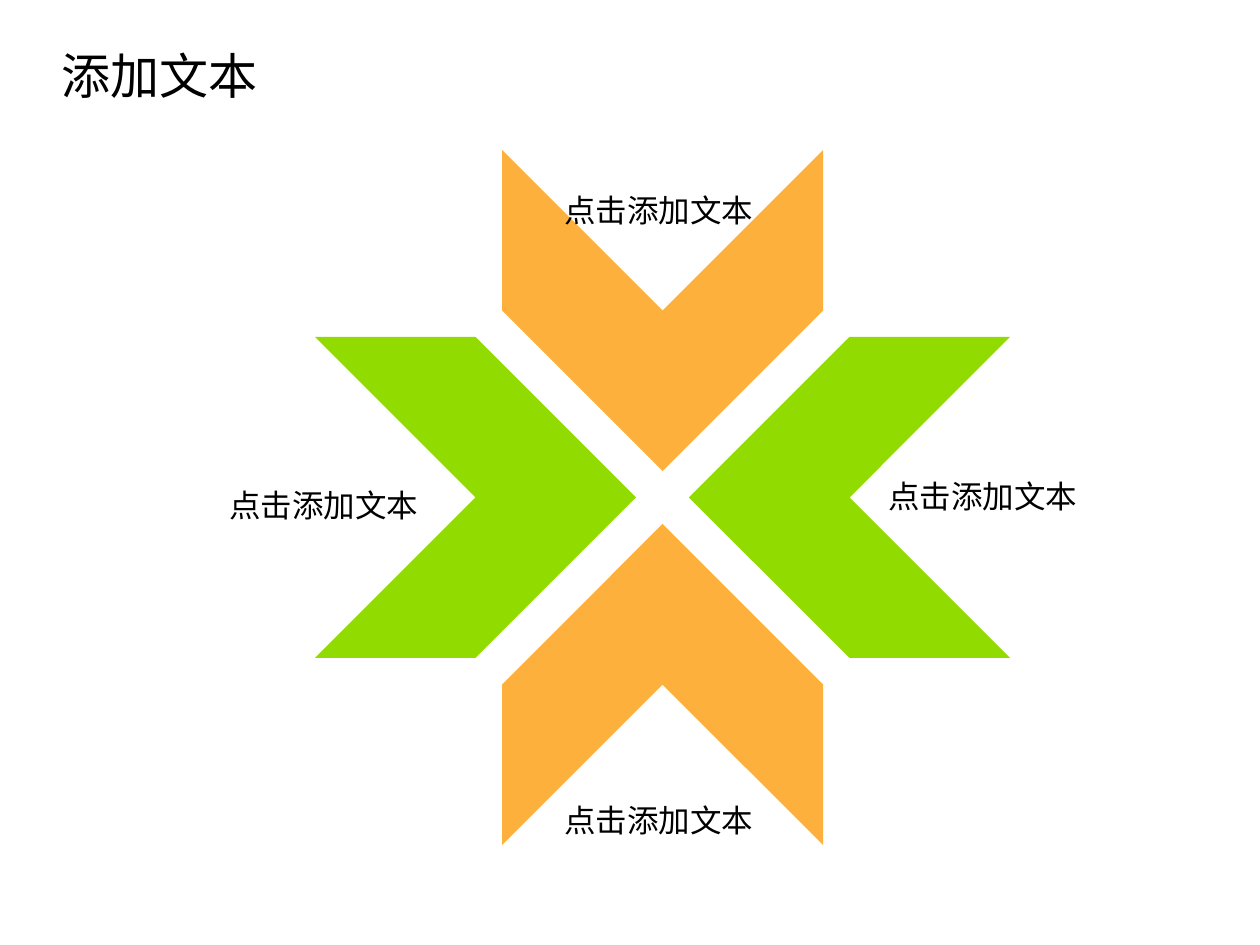
"""Build a slide of four chevrons pointing at a shared centre."""
from dataclasses import dataclass
from math import cos, radians, sin

from lxml import etree
from pptx import Presentation, util as u
from pptx.dml.color import RGBColor
from pptx.enum import shapes, text
from pptx.oxml import ns


@dataclass
class Theme:
    font: str = "Noto Sans CJK SC"
    ink: str = "000000"
    amber: str = "FEB03C"
    green: str = "91DB01"
    head: int = 28
    body: int = 18


THEME = Theme()
SIZE = (1260, 945)
TITLE = ("添加文本", (49, 39, 223, 72))
LABEL = "点击添加文本"
LABEL_SIZE = (217, 50)
LABEL_SPOTS = [(552, 795), (876, 471), (552, 185), (217, 480)]
CENTRE = (662, 497)
SIDE = 321
REACH = 187
ARROWS = [(90, THEME.amber), (0, THEME.green),
          (270, THEME.amber), (180, THEME.green)]


def px(n):
    return u.Emu(round(n * u.Inches(1) / 126))


def place(shape, box):
    shape.left, shape.top, shape.width, shape.height = map(px, box)


def write(shape, words, size):
    frame = shape.text_frame
    frame.text = words
    frame.word_wrap = False
    frame.auto_size = text.MSO_AUTO_SIZE.SHAPE_TO_FIT_TEXT
    frame.vertical_anchor = text.MSO_ANCHOR.TOP
    para = frame.paragraphs[0]
    para.alignment = text.PP_ALIGN.LEFT
    font = para.runs[0].font
    font.size = u.Pt(size)
    font.color.rgb = RGBColor.from_string(THEME.ink)
    font.name = THEME.font
    props = para.runs[0]._r.get_or_add_rPr()
    etree.SubElement(props, ns.qn("a:ea"), typeface=THEME.font)


def add_arrow(slide, angle, color):
    turn = radians(angle)
    left = CENTRE[0] - REACH * cos(turn) - SIDE // 2
    top = CENTRE[1] - REACH * sin(turn) - SIDE // 2
    arrow = slide.shapes.add_shape(
        shapes.MSO_SHAPE.CHEVRON, *map(px, (left, top, SIDE, SIDE)))
    arrow.rotation = angle
    arrow.shadow.inherit = False
    arrow.fill.solid()
    arrow.fill.fore_color.rgb = RGBColor.from_string(color)
    arrow.line.fill.background()


def main():
    deck = Presentation()
    deck.slide_width, deck.slide_height = map(px, SIZE)
    slide = deck.slides.add_slide(deck.slide_layouts.get_by_name("Title Only"))
    title = slide.shapes.title
    place(title, TITLE[1])
    write(title, TITLE[0], THEME.head)
    for angle, color in ARROWS:
        add_arrow(slide, angle, color)
    for spot in LABEL_SPOTS:
        box = slide.shapes.add_textbox(*map(px, spot + LABEL_SIZE))
        write(box, LABEL, THEME.body)
    deck.save("out.pptx")


if __name__ == "__main__":
    main()
